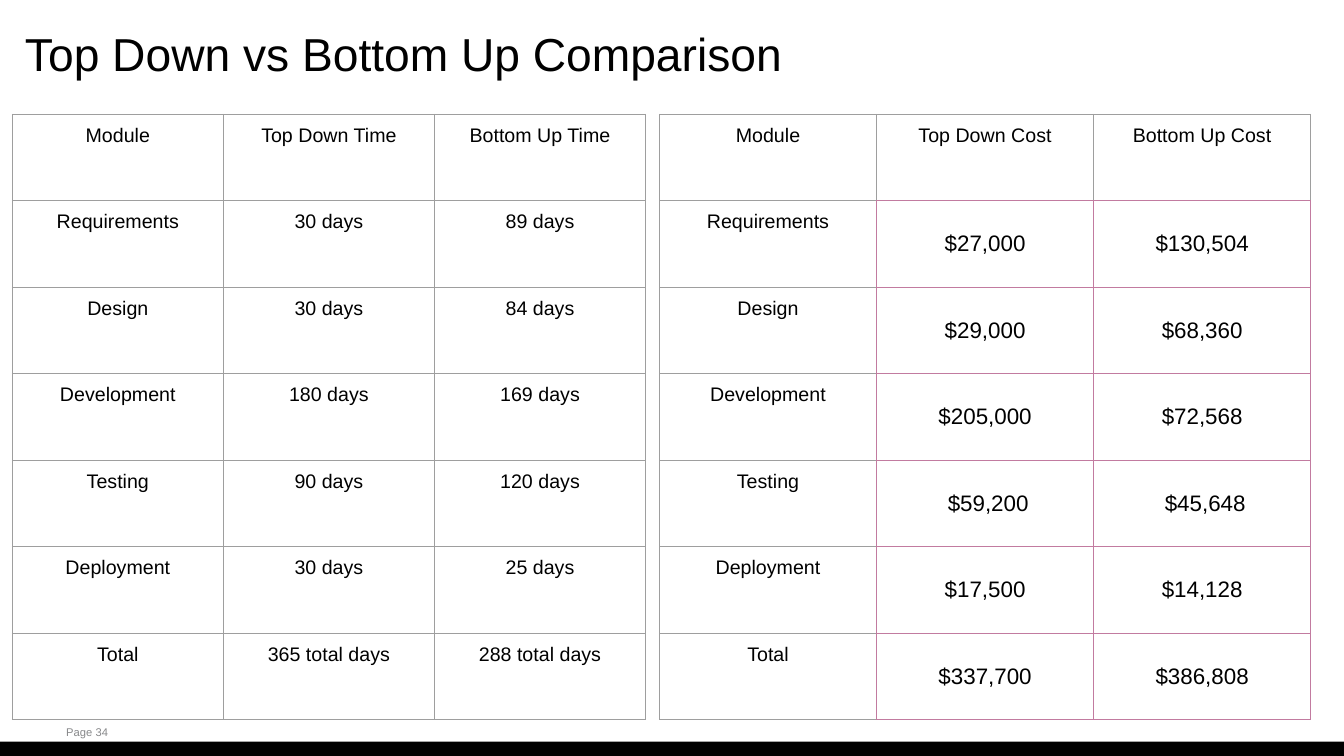
from lxml.etree import SubElement
from pptx import Presentation
from pptx.dml.color import RGBColor
from pptx.enum.shapes import MSO_SHAPE
from pptx.enum.text import MSO_ANCHOR, MSO_AUTO_SIZE, PP_ALIGN
from pptx.oxml.ns import qn
from pptx.util import Cm, Pt

BLACK, GREY, PINK, FOOTER = "000000", "9E9E9E", "C27BA0", "87888A"
SIDES = {"L": (0, -1), "R": (0, 1), "T": (-1, 0), "B": (1, 0)}
MODULES = ["Module", "Requirements", "Design", "Development", "Testing", "Deployment", "Total"]
TIMES = [
    ("Top Down Time", "Bottom Up Time"),
    ("30 days", "89 days"),
    ("30 days", "84 days"),
    ("180 days", "169 days"),
    ("90 days", "120 days"),
    ("30 days", "25 days"),
    ("365 total days", "288 total days"),
]
COSTS = [
    ("Top Down Cost", "Bottom Up Cost"),
    ("$27,000", "$130,504"),
    ("$29,000", "$68,360"),
    ("$205,000", "$72,568"),
    (" $59,200", " $45,648"),
    ("$17,500", "$14,128"),
    ("$337,700", "$386,808"),
]


def color(value):
    return RGBColor.from_string(value)


def apply(target, values):
    for name, value in values.items():
        setattr(target, name, value)


def margins(sideways, upright):
    return {
        "margin_left": Cm(sideways),
        "margin_right": Cm(sideways),
        "margin_top": Cm(upright),
        "margin_bottom": Cm(upright),
    }


class ComparisonPage:
    """Holds the font and the current slide, and adds styled elements to it."""

    def __init__(self, deck, font_name):
        self.font_name = font_name
        self.page = deck.slides.add_slide(deck.slide_layouts[5])

    def add_text(self, frame, text, size, ink=BLACK, align=PP_ALIGN.LEFT):
        para = frame.paragraphs[0]
        para.alignment = align
        span = para.add_run()
        span.text = text
        apply(span.font, {"name": self.font_name, "size": Pt(size), "bold": False})
        span.font.color.rgb = color(ink)

    def title(self, text, left, top, width, height):
        box = self.page.shapes.title
        apply(box, {"left": Cm(left), "top": Cm(top), "width": Cm(width), "height": Cm(height)})
        frame = box.text_frame
        apply(frame, {"auto_size": MSO_AUTO_SIZE.NONE, "vertical_anchor": MSO_ANCHOR.TOP,
                      "word_wrap": True, **margins(0.25, 0.25)})
        self.add_text(frame, text, 33)

    def label(self, text, left, top, width, height):
        box = self.page.shapes.add_textbox(Cm(left), Cm(top), Cm(width), Cm(height))
        frame = box.text_frame
        apply(frame, {"word_wrap": True, "vertical_anchor": MSO_ANCHOR.MIDDLE,
                      **margins(0.2, 0.13)})
        self.add_text(frame, text, 8, FOOTER)

    def bar(self, left, top, width, height):
        box = self.page.shapes.add_shape(
            MSO_SHAPE.RECTANGLE, Cm(left), Cm(top), Cm(width), Cm(height))
        box.shadow.inherit = False
        box.fill.solid()
        box.fill.fore_color.rgb = color(BLACK)
        box.line.fill.background()

    def border(self, cell, side, ink, width):
        line = SubElement(cell._tc.get_or_add_tcPr(), qn(f"a:ln{side}"), w=str(Pt(width)))
        SubElement(SubElement(line, qn("a:solidFill")), qn("a:srgbClr"), val=ink)

    def table(self, values, left, top, column_width, row_height, accented=False):
        rows = [(module, *pair) for module, pair in zip(MODULES, values)]
        count, columns = len(rows), len(rows[0])
        table = self.page.shapes.add_table(
            count, columns, Cm(left), Cm(top),
            Cm(column_width * columns), Cm(row_height * count)).table
        apply(table, {"first_row": False, "horz_banding": False})

        def is_accent(row, column):
            return accented and 0 < row < count and 0 < column < columns

        for column in table.columns:
            column.width = Cm(column_width)
        for i, row in enumerate(rows):
            table.rows[i].height = Cm(row_height)
            for j, text in enumerate(row):
                cell = table.cell(i, j)
                accent = is_accent(i, j)
                anchor = MSO_ANCHOR.MIDDLE if accent else MSO_ANCHOR.TOP
                inset = 0 if accent else 0.25
                apply(cell, {"vertical_anchor": anchor, **margins(inset, inset)})
                for side, (down, across) in SIDES.items():
                    pink = accent or is_accent(i + down, j + across)
                    thick = pink and i == count - 1 and side != "T"
                    self.border(cell, side, PINK if pink else GREY, 1 if thick else 0.75)
                cell.fill.background()
                self.add_text(cell.text_frame, text, 16 if accent else 14,
                              align=PP_ALIGN.CENTER)


def main():
    deck = Presentation()
    apply(deck, {"slide_width": Cm(33.87), "slide_height": Cm(19.05)})
    comparison = ComparisonPage(deck, "Arial")
    comparison.label("Page 34", 1.47, 18.14, 27.41, 0.61)
    comparison.bar(0, 18.69, 33.87, 0.36)
    comparison.table(TIMES, 0.31, 2.88, 5.32, 2.18)
    comparison.table(COSTS, 16.62, 2.88, 5.47, 2.18, accented=True)
    comparison.title("Top Down vs Bottom Up Comparison", 0.38, 0.38, 32, 1.85)
    deck.save("out.pptx")


if __name__ == "__main__":
    main()
